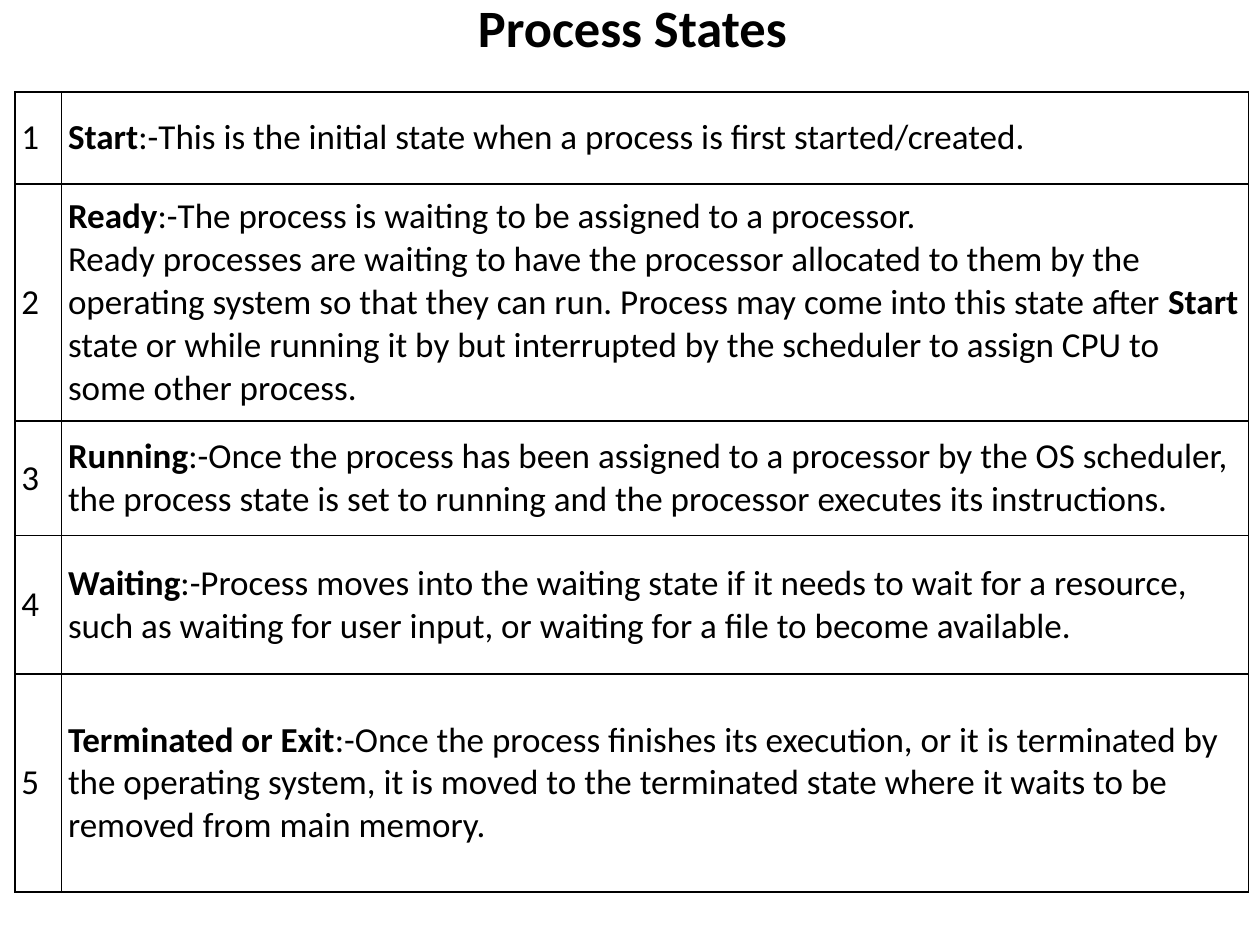
import pptx
import pptx.util
import pptx.dml.color
import pptx.enum.text
import pptx.oxml
import pptx.oxml.ns

Inches, Pt = pptx.util.Inches, pptx.util.Pt
MIDDLE = pptx.enum.text.MSO_ANCHOR.MIDDLE
BLACK = pptx.dml.color.RGBColor(0x00, 0x00, 0x00)
FONT = "Calibri"

COL_WIDTHS = [0.37, 9.42]
ROW_HEIGHTS = [0.73, 1.88, 0.91, 1.1, 1.73]

# One entry per state: paragraphs made of (text, bold) runs
STATES = [
    [[("Start", True),
      (":-This is the initial state when a process is first started/created.", False)]],
    [[("Ready", True),
      (":-The process is waiting to be assigned to a processor.", False)],
     [("Ready processes are waiting to have the processor allocated to them by the "
       "operating system so that they can run. Process may come into this state after ", False),
      ("Start", True),
      (" state or while running it by but interrupted by the scheduler to assign CPU to "
       "some other process.", False)]],
    [[("Running", True),
      (":-Once the process has been assigned to a processor by the OS scheduler, the process "
       "state is set to running and the processor executes its instructions.", False)]],
    [[("Waiting", True),
      (":-Process moves into the waiting state if it needs to wait for a resource, such as "
       "waiting for user input, or waiting for a file to become available.", False)]],
    [[("Terminated or Exit", True),
      (":-Once the process finishes its execution, or it is terminated by the operating "
       "system, it is moved to the terminated state where it waits to be removed from main "
       "memory.", False)]],
]


def add_run(p, text, size, bold):
    r = p.add_run()
    r.text = text
    r.font.name, r.font.size, r.font.bold = FONT, Pt(size), bold
    r.font.color.rgb = BLACK


def set_borders(cell):
    tcPr = cell._tc.get_or_add_tcPr()
    for i, side in enumerate(("lnL", "lnR", "lnT", "lnB")):
        tcPr.insert(i, pptx.oxml.parse_xml(
            f'<a:{side} {pptx.oxml.ns.nsdecls("a")} w="{Pt(1)}">'
            f'<a:solidFill><a:srgbClr val="{BLACK}"/></a:solidFill></a:{side}>'))


def fill_cell(cell, paragraphs):
    cell.vertical_anchor = MIDDLE
    cell.margin_left = cell.margin_right = Inches(0.05)
    cell.margin_top = cell.margin_bottom = Inches(0.03)
    cell.fill.background()
    set_borders(cell)
    tf = cell.text_frame
    for i, runs in enumerate(paragraphs):
        p = tf.add_paragraph() if i else tf.paragraphs[0]
        for text, bold in runs:
            add_run(p, text, 20, bold)


def add_title(slide, left, top, width, height):
    tf = slide.shapes.add_textbox(left, top, width, height).text_frame
    tf.word_wrap = True
    tf.vertical_anchor = MIDDLE
    p = tf.paragraphs[0]
    p.alignment = pptx.enum.text.PP_ALIGN.CENTER
    p.line_spacing = 0.9
    add_run(p, "Process States", 30, True)


def add_states_table(slide, left, top, width, height):
    table = slide.shapes.add_table(
        len(STATES), len(COL_WIDTHS), left, top, width, height).table
    table.first_row = table.horz_banding = False
    for col, w in zip(table.columns, COL_WIDTHS):
        col.width = Inches(w)
    for i, (row, h) in enumerate(zip(table.rows, ROW_HEIGHTS)):
        row.height = Inches(h)
        fill_cell(row.cells[0], [[(str(i + 1), False)]])
        fill_cell(row.cells[1], STATES[i])


def main():
    prs = pptx.Presentation()
    prs.slide_width, prs.slide_height = Inches(10), Inches(7.5)
    slide = prs.slides.add_slide(prs.slide_layouts[6])
    add_title(slide, Inches(1.16), Inches(0), Inches(7.72), Inches(0.49))
    add_states_table(slide, Inches(0.12), Inches(0.73),
                     Inches(sum(COL_WIDTHS)), Inches(sum(ROW_HEIGHTS)))
    prs.save("out.pptx")


if __name__ == "__main__":
    main()
